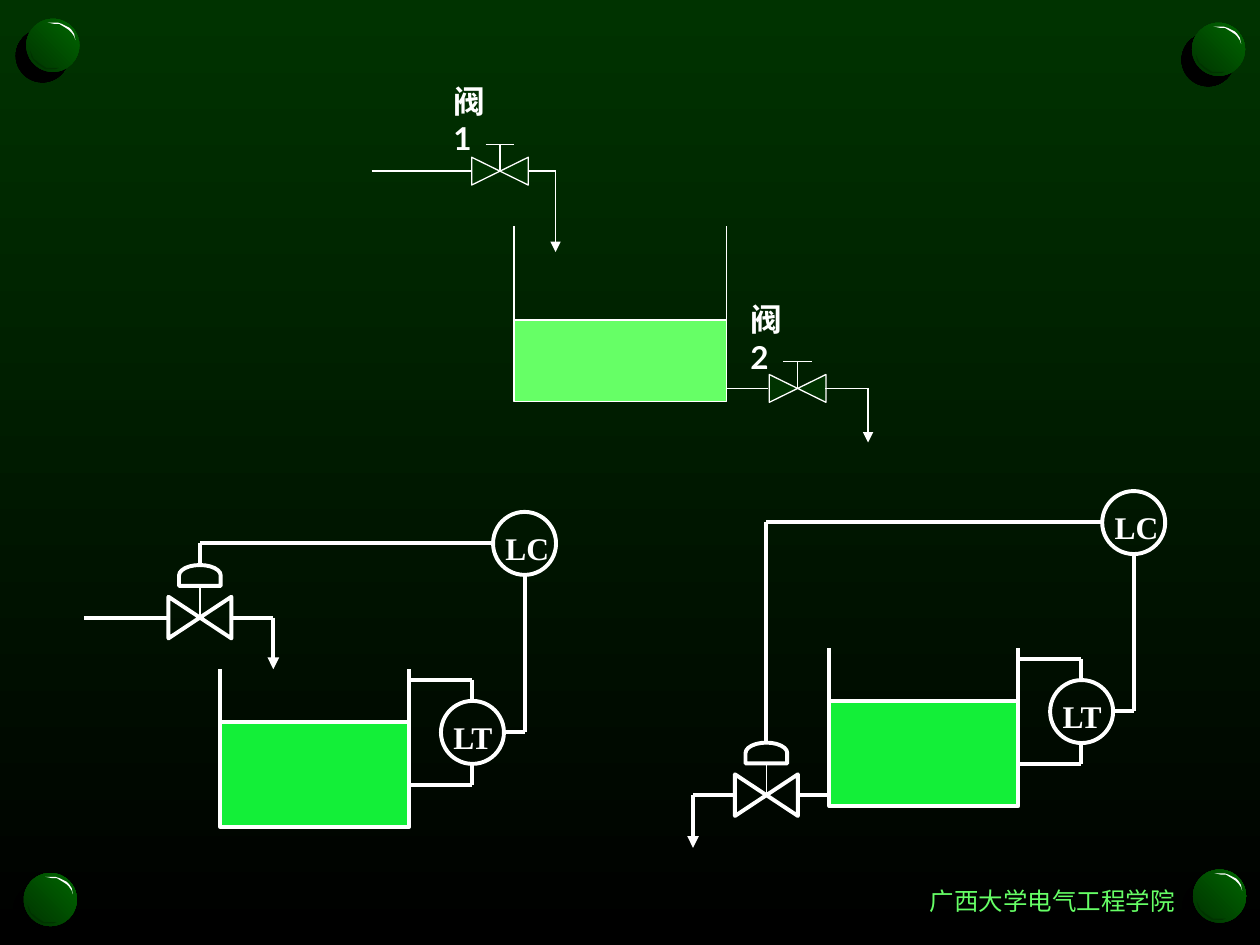
"""Build a slide of liquid level diagrams: manual valves and two automatic control loops."""
import dataclasses
import itertools
from typing import NamedTuple, Optional

import lxml.etree
import pptx
import pptx.dml.color
import pptx.enum.shapes
import pptx.enum.text
import pptx.oxml.ns
import pptx.shapes.autoshape
import pptx.slide
import pptx.util

Cm = pptx.util.Cm
Pt = pptx.util.Pt
qn = pptx.oxml.ns.qn
Shape = pptx.enum.shapes.MSO_SHAPE


@dataclasses.dataclass(frozen=True)
class Theme:
    dark: str = "003300"
    pin: str = "006600"
    black: str = "000000"
    white: str = "FFFFFF"
    pale_water: str = "66FF66"
    water: str = "13EF38"
    thin: float = 0.75
    stem: float = 1
    thick: float = 2.25
    label_size: int = 18
    footer_size: int = 14
    valve_font: str = "Lato"
    instrument_font: str = "Times New Roman"
    footer_font: str = "Roboto Condensed"


class Point(NamedTuple):
    x: float
    y: float

    def shift(self, dx: float = 0, dy: float = 0) -> "Point":
        return Point(self.x + dx, self.y + dy)


class Size(NamedTuple):
    width: float
    height: float


class Valve(NamedTuple):
    label: str
    centre: Point
    label_at: Point
    flow: list[Point]
    outlet: list[Point]


class Loop(NamedTuple):
    tank: Point
    valve: Point
    pipes: list[list[Point]]


THEME = Theme()
PINS = [Point(0.53, 0.38), Point(24.03, 0.46), Point(24.05, 17.53), Point(0.48, 17.6)]
GLINT = [(17, 3), (25, 3), (28, 4), (30, 5), (34, 7), (36, 9), (38, 12), (39, 17),
         (38, 14), (36, 11), (34, 9), (31, 7), (26, 4), (22, 4)]
SHADE = [(26, 39), (20, 39), (16, 39), (13, 37), (10, 35), (8, 33), (6, 32), (3, 25),
         (4, 30), (6, 33), (8, 35), (12, 38), (15, 40), (19, 40), (23, 40)]
VALVES = [
    Valve("阀1", Point(10.08, 3.45), Point(8.89, 1.52),
          [Point(7.49, 3.45), Point(9.5, 3.45)],
          [Point(10.64, 3.45), Point(11.2, 3.45), Point(11.2, 5.08)]),
    Valve("阀2", Point(16.08, 7.83), Point(14.88, 5.92),
          [Point(14.65, 7.83), Point(15.49, 7.83)],
          [Point(16.64, 7.83), Point(17.5, 7.83), Point(17.5, 8.92)]),
]
LOOPS = [
    Loop(Point(4.44, 14.55), Point(4.03, 12.45),
         [[Point(1.7, 12.45), Point(3.4, 12.45)],
          [Point(4.67, 12.45), Point(5.51, 12.45), Point(5.51, 13.49)]]),
    Loop(Point(16.72, 14.13), Point(15.45, 16.03),
         [[Point(16.72, 16.03), Point(16.09, 16.03)],
          [Point(14.81, 16.03), Point(13.97, 16.03), Point(13.97, 17.09)]]),
]


def rgb(code: str) -> pptx.dml.color.RGBColor:
    return pptx.dml.color.RGBColor.from_string(code)


def fade(fill, start: str, end: str, angle: float) -> None:
    fill.gradient()
    fill.gradient_angle = angle
    for stop, code in zip(fill.gradient_stops, (start, end)):
        stop.color.rgb = rgb(code)


def draw(slide: pptx.slide.Slide, kind: Shape, at: Point, size: Size, weight: float,
         fill: Optional[str] = None, rotation: float = 0) -> None:
    outline = slide.shapes.add_shape(kind, Cm(at.x), Cm(at.y), Cm(size.width), Cm(size.height))
    outline.shadow.inherit = False
    outline.rotation = rotation
    outline.line.color.rgb = rgb(THEME.white)
    outline.line.width = Pt(weight)
    if fill:
        outline.fill.solid()
        outline.fill.fore_color.rgb = rgb(fill)
    else:
        outline.fill.background()


def draw_centred(slide: pptx.slide.Slide, kind: Shape, centre: Point, size: Size, weight: float,
                 fill: Optional[str] = None, rotation: float = 0) -> None:
    corner = centre.shift(-size.width / 2, -size.height / 2)
    draw(slide, kind, corner, size, weight, fill, rotation)


def pipe(slide: pptx.slide.Slide, points: list[Point], weight: float, arrow: bool = False) -> None:
    for start, end in itertools.pairwise(points):
        run = slide.shapes.add_connector(pptx.enum.shapes.MSO_CONNECTOR.STRAIGHT,
                                         Cm(start.x), Cm(start.y), Cm(end.x), Cm(end.y))
        run.line.color.rgb = rgb(THEME.white)
        run.line.width = Pt(weight)
        if arrow and end == points[-1]:
            lxml.etree.SubElement(run.line._get_or_add_ln(), qn("a:tailEnd"), type="triangle")
        lxml.etree.SubElement(run._element.spPr, qn("a:effectLst"))


def write(slide: pptx.slide.Slide, text: str, at: Point, size: Size, font: str, points: int,
          color: str, bold: bool = True, wrap: bool = True, right_inset: float = 0.25) -> None:
    label = slide.shapes.add_textbox(Cm(at.x), Cm(at.y), Cm(size.width), Cm(size.height))
    frame = label.text_frame
    frame.word_wrap = wrap
    frame.margin_right = Cm(right_inset)
    frame.text = text
    style = frame.paragraphs[0].font
    style.name, style.size, style.bold = font, Pt(points), bold
    style.color.rgb = rgb(color)


def draw_pin(slide: pptx.slide.Slide, at: Point) -> None:
    head = slide.shapes.add_shape(Shape.OVAL, Cm(at.x), Cm(at.y), Cm(1.07), Cm(1.07))
    fade(head.fill, THEME.dark, THEME.pin, 45)
    head.line.fill.background()
    head.shadow.inherit = False
    effects = head._element.spPr.find(qn("a:effectLst"))
    shadow = lxml.etree.SubElement(effects, qn("a:outerShdw"), blurRad="0",
                                   dist=str(Pt(8.5)), dir="8100000")
    lxml.etree.SubElement(shadow, qn("a:srgbClr"), val=THEME.black)
    for outline, color in ((GLINT, THEME.white), (SHADE, THEME.dark)):
        builder = slide.shapes.build_freeform(*outline[0], scale=Cm(2.54) / 100)
        builder.add_line_segments(outline[1:], close=True)
        crescent = builder.convert_to_shape(Cm(at.x), Cm(at.y))
        crescent.shadow.inherit = False
        crescent.fill.solid()
        crescent.fill.fore_color.rgb = rgb(color)
        crescent.line.fill.background()


def draw_tank(slide: pptx.slide.Slide, at: Point, size: Size, wall: float, overlap: float,
              weight: float, water: str) -> None:
    draw(slide, Shape.RECTANGLE, at, size, weight, water)
    for side in (at, at.shift(size.width)):
        pipe(slide, [side.shift(dy=overlap), side.shift(dy=-wall)], weight)


def draw_valve(slide: pptx.slide.Slide, valve: Valve) -> None:
    centre, top = valve.centre, valve.centre.shift(dy=-0.54)
    pipe(slide, valve.flow, THEME.thin)
    draw_centred(slide, Shape.FLOWCHART_COLLATE, centre, Size(0.56, 1.14), THEME.thin,
                 THEME.dark, 270)
    pipe(slide, [centre, top], THEME.thin)
    pipe(slide, [top.shift(-0.29), top.shift(0.29)], THEME.thin)
    pipe(slide, valve.outlet, THEME.thin, arrow=True)
    write(slide, valve.label, valve.label_at, Size(1.65, 1.02), THEME.valve_font,
          THEME.label_size, THEME.white, right_inset=0.65)


def draw_instrument(slide: pptx.slide.Slide, name: str, at: Point) -> None:
    draw(slide, Shape.OVAL, at, Size(1.27, 1.27), THEME.thick)
    write(slide, name, at.shift(dy=0.22), Size(1.47, 1.02), THEME.instrument_font,
          THEME.label_size, THEME.white)


def draw_loop(slide: pptx.slide.Slide, loop: Loop) -> None:
    tank, valve = loop.tank, loop.valve
    draw_tank(slide, tank, Size(3.81, 2.12), 1.07, 0.42, THEME.thick, THEME.water)
    inlet, outlet = loop.pipes
    pipe(slide, inlet, THEME.thick)
    pipe(slide, outlet, THEME.thick, arrow=True)
    draw_centred(slide, Shape.FLOWCHART_COLLATE, valve, Size(0.84, 1.27), THEME.thick, rotation=90)
    pipe(slide, [valve.shift(dy=-0.64), valve], THEME.stem)
    pipe(slide, [valve.shift(-0.42, -0.64), valve.shift(0.42, -0.64)], THEME.stem)
    draw_centred(slide, Shape.FLOWCHART_DELAY, valve.shift(dy=-0.85), Size(0.42, 0.84),
                 THEME.thick, rotation=270)
    draw_instrument(slide, "LC", tank.shift(5.5, -4.23))
    draw_instrument(slide, "LT", tank.shift(4.45, -0.42))
    for tap, edge in ((-0.85, -0.42), (1.27, 0.85)):
        pipe(slide, [tank.shift(3.81, tap), tank.shift(5.08, tap), tank.shift(5.08, edge)],
             THEME.thick)
    pipe(slide, [tank.shift(5.72, 0.21), tank.shift(6.14, 0.21), tank.shift(6.14, -2.96)],
         THEME.thick)
    signal = tank.shift(5.5, -3.6)
    pipe(slide, [signal, Point(valve.x, signal.y), valve.shift(dy=-1.06)], THEME.thick)


def main() -> None:
    deck = pptx.Presentation()
    deck.slide_width, deck.slide_height = Cm(25.4), Cm(19.05)
    slide = deck.slides.add_slide(deck.slide_layouts[6])
    fade(slide.background.fill, THEME.dark, THEME.black, 270)
    for pin in PINS:
        draw_pin(slide, pin)
    write(slide, "广西大学电气工程学院", Point(18.49, 17.73), Size(5.46, 0.86), THEME.footer_font,
          THEME.footer_size, THEME.pale_water, bold=False, wrap=False)
    draw_tank(slide, Point(10.36, 6.45), Size(4.29, 1.65), 1.9, 0, THEME.thin, THEME.pale_water)
    for valve in VALVES:
        draw_valve(slide, valve)
    for loop in LOOPS:
        draw_loop(slide, loop)
    deck.save("out.pptx")


if __name__ == "__main__":
    main()
